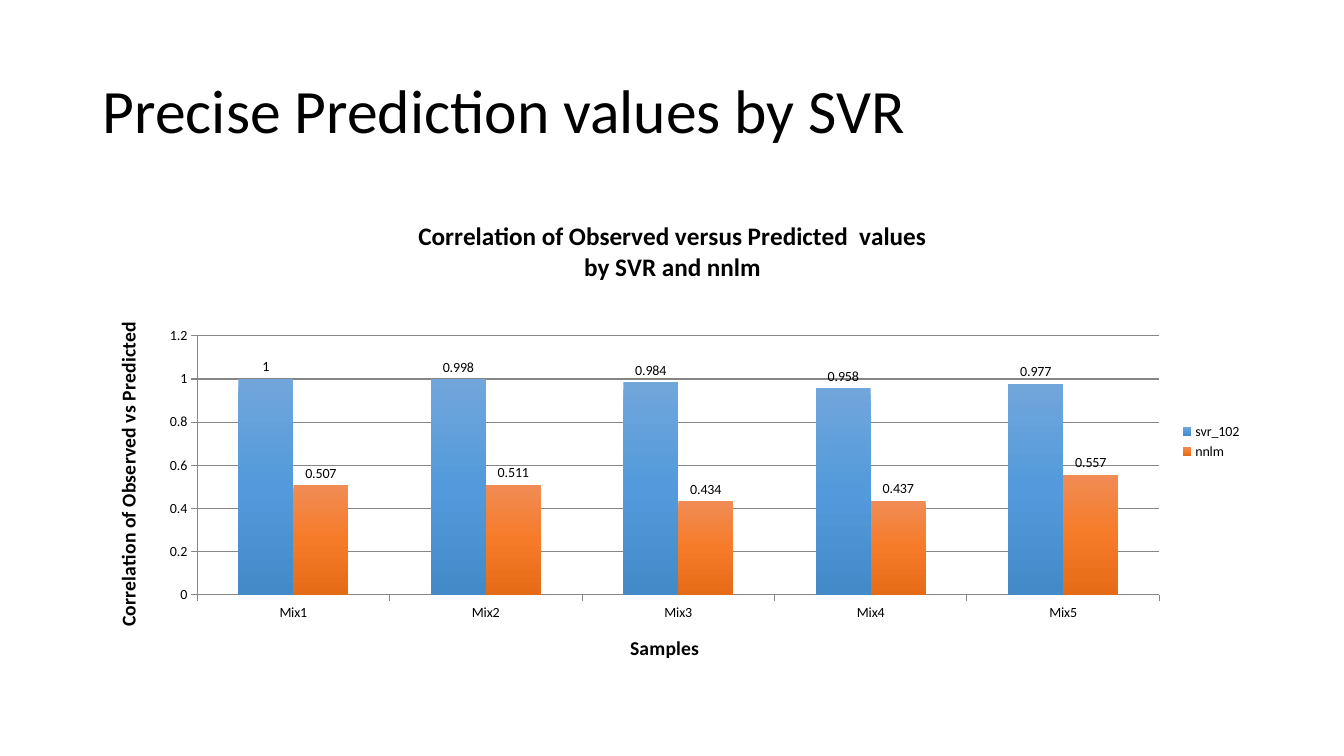
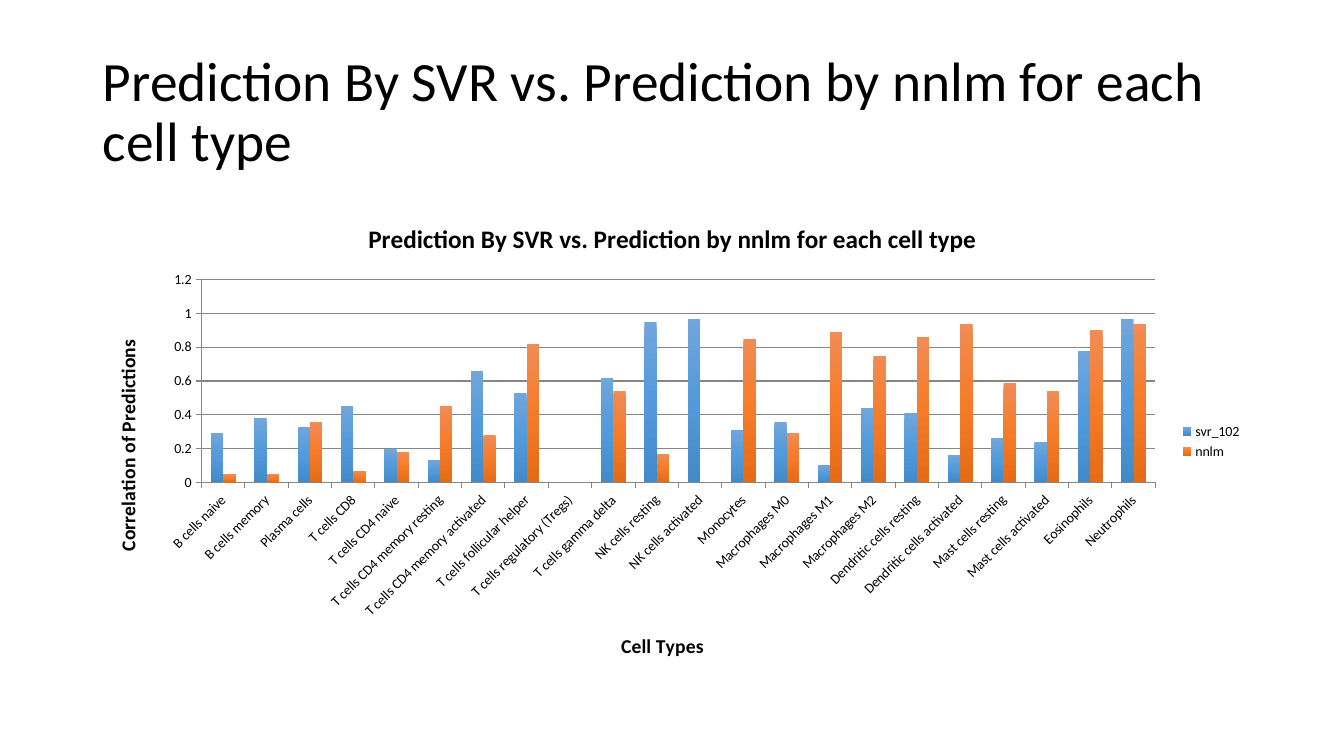
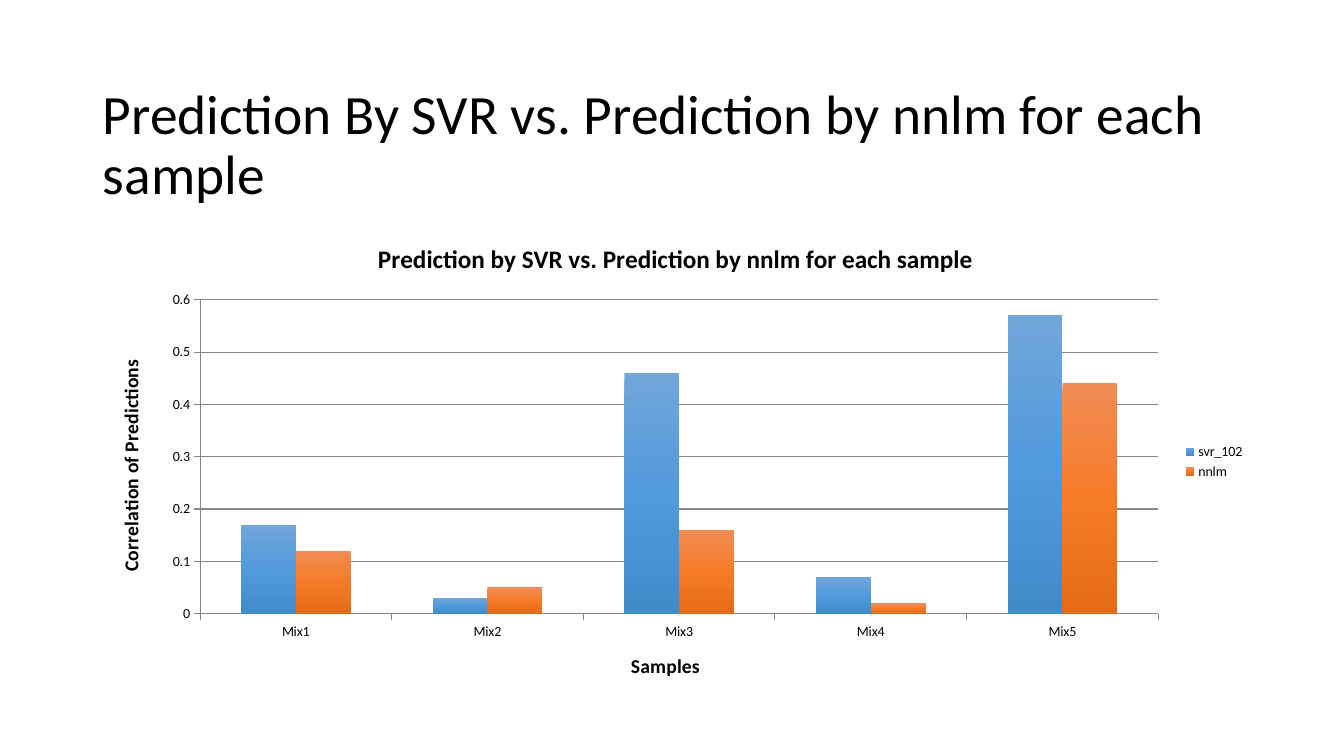
from pptx import Presentation
from pptx.chart.data import CategoryChartData
from pptx.dml.color import RGBColor
from pptx.enum.chart import XL_CHART_TYPE, XL_LABEL_POSITION, XL_LEGEND_POSITION, XL_TICK_MARK
from pptx.enum.text import MSO_ANCHOR, MSO_AUTO_SIZE, PP_ALIGN
from pptx.oxml import parse_xml
from pptx.oxml.ns import nsdecls, qn
from pptx.util import Inches, Pt

COLUMN_CLUSTERED = XL_CHART_TYPE.COLUMN_CLUSTERED
OUTSIDE_END = XL_LABEL_POSITION.OUTSIDE_END
LEGEND_RIGHT = XL_LEGEND_POSITION.RIGHT
TICK_OUTSIDE = XL_TICK_MARK.OUTSIDE
TICK_NONE = XL_TICK_MARK.NONE
MIDDLE = MSO_ANCHOR.MIDDLE
NO_AUTO_SIZE = MSO_AUTO_SIZE.NONE
ALIGN_LEFT = PP_ALIGN.LEFT

FONT = "Calibri"
BLACK = RGBColor(0x00, 0x00, 0x00)
AXIS_GREY = RGBColor(0x86, 0x86, 0x86)
SERIES_GRADIENTS = (
    (RGBColor(0x71, 0xA6, 0xDB), RGBColor(0x52, 0x9A, 0xDB), RGBColor(0x43, 0x8A, 0xC9)),
    (RGBColor(0xF1, 0x8C, 0x55), RGBColor(0xF6, 0x7B, 0x28), RGBColor(0xE5, 0x6B, 0x17)),
)
SERIES_NAMES = ("svr_102", "nnlm")

SLIDE_SIZE = (13.33, 7.5)
TITLE_BOX = (0.92, 0.4, 11.5, 1.45)
LOW_TITLE_BOX = (0.92, 0.73, 11.5, 1.45)
CHART_BOX = (0.92, 2, 11.5, 4.76)
LOW_CHART_BOX = (0.95, 2.2, 11.5, 4.76)

MIXES = [f"Mix{number}" for number in range(1, 6)]
CELL_TYPES = [
    "B cells naive", "B cells memory", "Plasma cells", "T cells CD8",
    "T cells CD4 naive", "T cells CD4 memory resting",
    "T cells CD4 memory activated", "T cells follicular helper",
    "T cells regulatory (Tregs)", "T cells gamma delta", "NK cells resting",
    "NK cells activated", "Monocytes", "Macrophages M0", "Macrophages M1",
    "Macrophages M2", "Dendritic cells resting", "Dendritic cells activated",
    "Mast cells resting", "Mast cells activated", "Eosinophils", "Neutrophils",
]

SLIDES = (
    dict(
        title="Precise Prediction values by SVR",
        title_size=44,
        chart_title=("Correlation of Observed versus Predicted  values", "by SVR and nnlm"),
        axis_titles=("Samples", "Correlation of Observed vs Predicted"),
        categories=MIXES,
        values=((1, 0.998, 0.984, 0.958, 0.977), (0.507, 0.511, 0.434, 0.437, 0.557)),
        labels=True,
        plot_shares=(0.09, 0.28, 0.83, 0.54),
    ),
    dict(
        title="Prediction By SVR vs. Prediction by nnlm for each cell type",
        chart_title=("Prediction By SVR vs. Prediction by nnlm for each cell type",),
        axis_titles=("Cell Types", "Correlation of Predictions"),
        categories=CELL_TYPES,
        values=(
            (0.29, 0.38, 0.33, 0.45, 0.2, 0.13, 0.66, 0.53, 0, 0.62, 0.95,
             0.97, 0.31, 0.36, 0.1, 0.44, 0.41, 0.16, 0.26, 0.24, 0.78, 0.97),
            (0.05, 0.05, 0.36, 0.07, 0.18, 0.45, 0.28, 0.82, 0, 0.54, 0.17,
             0, 0.85, 0.29, 0.89, 0.75, 0.86, 0.94, 0.59, 0.54, 0.9, 0.94),
        ),
        label_angle=-45,
    ),
    dict(
        title="Prediction By SVR vs. Prediction by nnlm for each sample",
        title_box=LOW_TITLE_BOX,
        chart_title=("Prediction by SVR vs. Prediction by nnlm for each sample",),
        axis_titles=("Samples", "Correlation of Predictions"),
        categories=MIXES,
        values=((0.17, 0.03, 0.46, 0.07, 0.57), (0.12, 0.05, 0.16, 0.02, 0.44)),
        chart_box=LOW_CHART_BOX,
    ),
)


def style_font(font, size, bold=False):
    font.name = FONT
    font.size = Pt(size)
    font.bold = bold
    font.color.rgb = BLACK


def write_lines(text_frame, lines, size, bold=False):
    for index, line in enumerate(lines):
        paragraph = text_frame.add_paragraph() if index else text_frame.paragraphs[0]
        run = paragraph.add_run()
        run.text = line
        style_font(run.font, size, bold)


def place_title(slide, text, size, box):
    title = slide.shapes.title
    title.left, title.top, title.width, title.height = map(Inches, box)
    text_frame = title.text_frame
    text_frame.word_wrap = True
    text_frame.auto_size = NO_AUTO_SIZE
    text_frame.vertical_anchor = MIDDLE
    write_lines(text_frame, [text], size)
    paragraph = text_frame.paragraphs[0]
    paragraph.alignment = ALIGN_LEFT
    paragraph.line_spacing = 0.9


def style_axis(axis, title):
    write_lines(axis.axis_title.text_frame, [title], 14, True)
    axis.major_tick_mark = TICK_OUTSIDE
    axis.minor_tick_mark = TICK_NONE
    style_font(axis.tick_labels.font, 10)
    axis.format.line.color.rgb = AXIS_GREY
    axis.format.line.width = Pt(0.75)


def fill_series(series, colors):
    stops = "".join(
        f'<a:gs pos="{index * 50000}"><a:srgbClr val="{color}"/></a:gs>'
        for index, color in enumerate(colors)
    )
    gradient = parse_xml(
        f'<a:gradFill {nsdecls("a")} rotWithShape="1"><a:gsLst>{stops}</a:gsLst>'
        '<a:lin ang="5400000" scaled="0"/></a:gradFill>'
    )
    series.format.line.fill.background()
    series._element.get_or_add_spPr().insert(0, gradient)
    series.invert_if_negative = False


def set_plot_area(chart, shares):
    places = "".join(
        f'<c:{name} val="{share}"/>' for name, share in zip("xywh", shares)
    )
    layout = parse_xml(
        f'<c:layout {nsdecls("c")}><c:manualLayout><c:layoutTarget val="inner"/>'
        '<c:xMode val="edge"/><c:yMode val="edge"/>'
        f"{places}</c:manualLayout></c:layout>"
    )
    plot_area = chart._chartSpace.chart.plotArea
    for old_layout in plot_area.findall(qn("c:layout")):
        plot_area.remove(old_layout)
    plot_area.insert(0, layout)


def place_chart(slide, box, chart_title, axis_titles, categories, values,
                labels=False, label_angle=None, plot_shares=None):
    data = CategoryChartData()
    data.categories = categories
    for name, series_values in zip(SERIES_NAMES, values):
        data.add_series(name, series_values)
    chart = slide.shapes.add_chart(COLUMN_CLUSTERED, *map(Inches, box), data).chart
    style_font(chart.font, 10)
    write_lines(chart.chart_title.text_frame, chart_title, 18, True)
    chart.chart_title.include_in_layout = False
    chart.has_legend = True
    chart.legend.position = LEGEND_RIGHT
    chart.legend.include_in_layout = False
    style_font(chart.legend.font, 10)

    for axis, title in zip((chart.category_axis, chart.value_axis), axis_titles):
        style_axis(axis, title)
    gridlines = chart.value_axis.major_gridlines.format.line
    gridlines.color.rgb = AXIS_GREY
    gridlines.width = Pt(0.75)
    if label_angle is not None:
        body = chart.category_axis._element.find(qn("c:txPr")).find(qn("a:bodyPr"))
        body.set("rot", str(label_angle * 60000))
        body.set("vert", "horz")

    plot = chart.plots[0]
    plot.gap_width = 150
    plot.overlap = 0
    plot.vary_by_categories = False
    for series, colors in zip(plot.series, SERIES_GRADIENTS):
        fill_series(series, colors)
    if labels:
        plot.has_data_labels = True
        plot.data_labels.show_value = True
        plot.data_labels.position = OUTSIDE_END
        style_font(plot.data_labels.font, 10)
    if plot_shares:
        set_plot_area(chart, plot_shares)


def build_chart_slide(presentation, title, title_size=39.6, title_box=TITLE_BOX,
                      chart_box=CHART_BOX, **chart_parts):
    slide = presentation.slides.add_slide(presentation.slide_layouts[5])
    place_title(slide, title, title_size, title_box)
    place_chart(slide, chart_box, **chart_parts)


def main():
    presentation = Presentation()
    presentation.slide_width, presentation.slide_height = map(Inches, SLIDE_SIZE)
    for parts in SLIDES:
        build_chart_slide(presentation, **parts)
    presentation.save("out.pptx")


if __name__ == "__main__":
    main()
